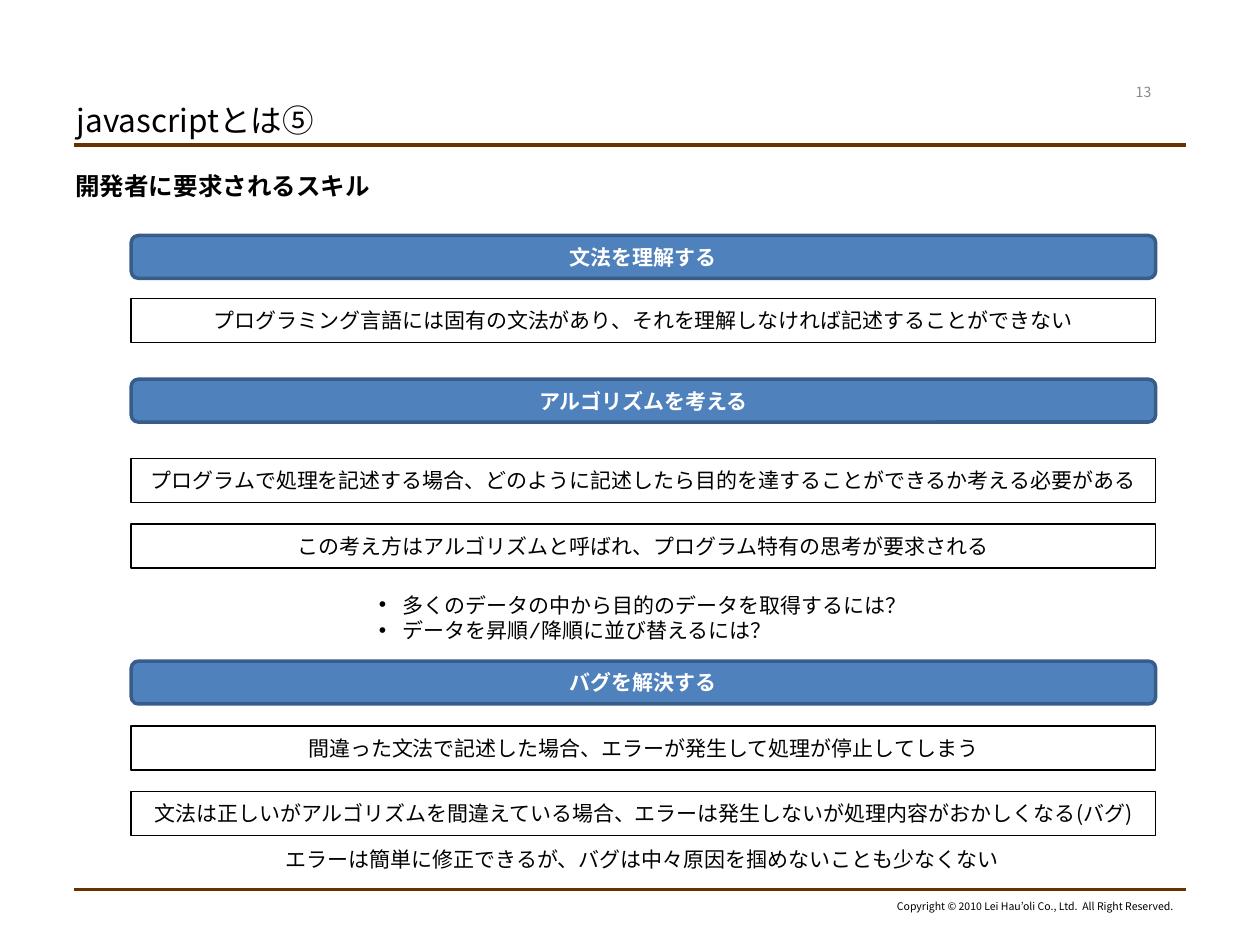
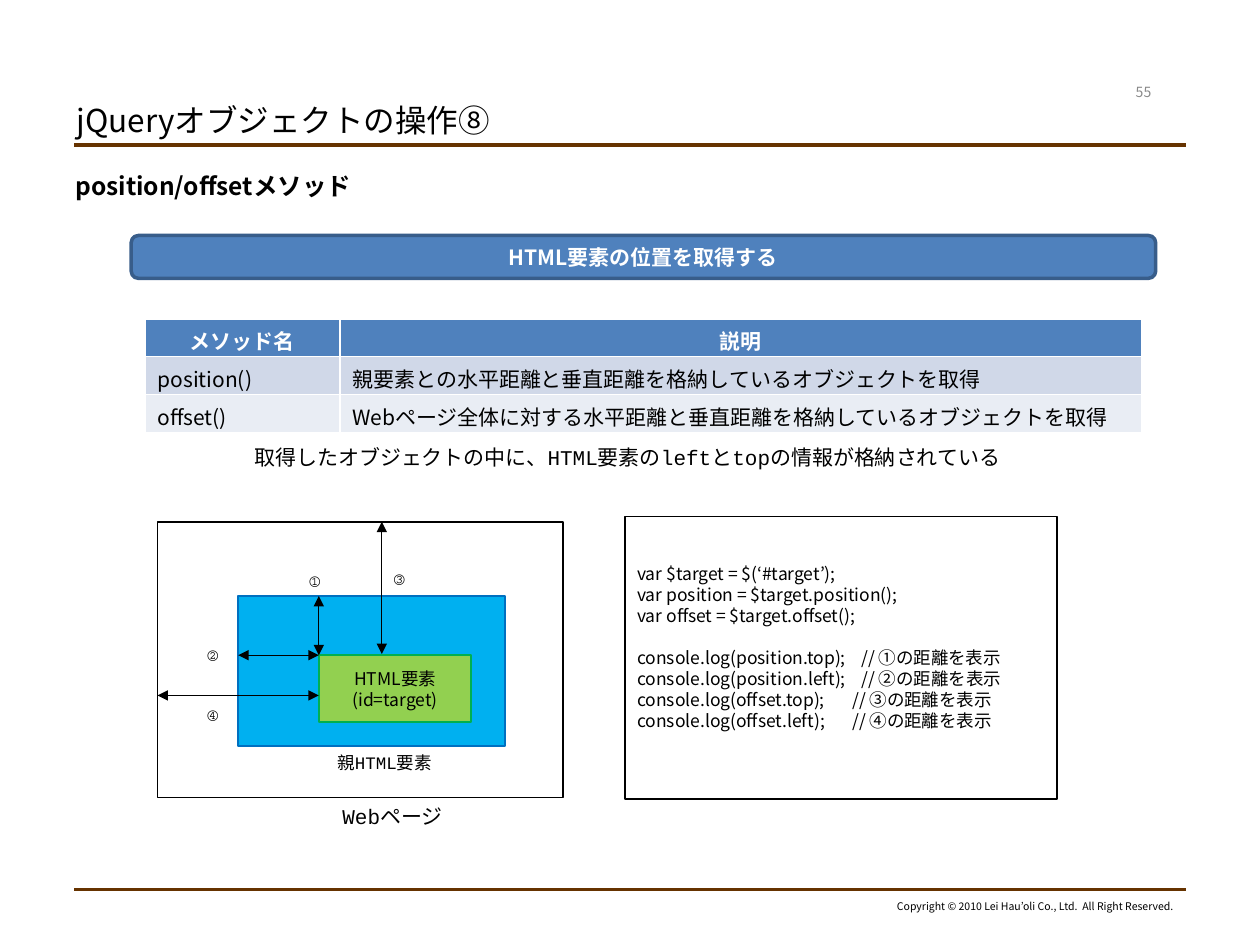
from lxml import etree
from pptx import Presentation
from pptx.dml.color import RGBColor
from pptx.enum import shapes, text
from pptx.oxml import ns
from pptx.util import Pt

# Shared look
SANS, MONO = "Noto Sans CJK JP", "Courier New"
BLACK, WHITE, GREY, BROWN = "000000", "FFFFFF", "898989", "663300"
BLUE, NAVY = "4F81BD", "385D8A"
LEFT, RIGHT = 42.5, 677.5
BAR_X, BAR_W, BAR_H, BOX_H, BOX_STEP = 75, 585.4, 24.5, 25.2, 37.4
BAR_TOP = 134.6
CREDIT = "Copyright © 2010 Lei Hau’oli Co., Ltd.  All Right Reserved."
ALIGN = {"l": text.PP_ALIGN.LEFT, "c": text.PP_ALIGN.CENTER,
         "r": text.PP_ALIGN.RIGHT}
RECT = shapes.MSO_SHAPE.RECTANGLE
ROUND = shapes.MSO_SHAPE.ROUNDED_RECTANGLE

# Slide 1: (bar top, heading, top of first box, boxed lines)
SKILLS = [
    (BAR_TOP, "文法を理解する", 170.6,
     ["プログラミング言語には固有の文法があり、それを理解しなければ記述することができない"]),
    (216.7, "アルゴリズムを考える", 262,
     ["プログラムで処理を記述する場合、どのように記述したら目的を達することができるか考える必要がある",
      "この考え方はアルゴリズムと呼ばれ、プログラム特有の思考が要求される"]),
    (377.8, "バグを解決する", 414.8,
     ["間違った文法で記述した場合、エラーが発生して処理が停止してしまう",
      "文法は正しいがアルゴリズムを間違えている場合、エラーは発生しないが処理内容がおかしくなる(バグ)"]),
]
ASKS = ["多くのデータの中から目的のデータを取得するには？",
        "データを昇順/降順に並び替えるには？"]
REMARK = "エラーは簡単に修正できるが、バグは中々原因を掴めないことも少なくない"

# Slide 2
METHODS = [
    ("メソッド名", "説明"),
    ("position()", "親要素との水平距離と垂直距離を格納しているオブジェクトを取得"),
    ("offset()", "Webページ全体に対する水平距離と垂直距離を格納しているオブジェクトを取得"),
]
COLS, ROW_H = (111.4, 458.4), 21.6
FILLS = (BLUE, "D0D8E8", "E9EDF4")
RESULT = "取得したオブジェクトの中に、HTML要素のleftとtopの情報が格納されている"
CODE = [
    ["var $target = $(‘#target’);",
     "var position = $target.position();",
     "var offset = $target.offset();"],
    ["console.log(position.top);    // ①の距離を表示",
     "console.log(position.left);    // ②の距離を表示",
     "console.log(offset.top);       // ③の距離を表示",
     "console.log(offset.left);       // ④の距離を表示"],
]
PAGE = (90, 298.1, 231.8, 157.7)
PARENT = (136.1, 340.6, 152.6, 85.7)
TARGET = (182.2, 374.4, 87.1, 38.2)
OFF_X, OFF_Y = 218.2, 397.4
GAPS = [  # number, label place, arrow from, arrow to
    ("①", (169.9, 321.1), (TARGET[0], PARENT[1]), TARGET[:2]),
    ("②", (111.6, 363.6), (PARENT[0], TARGET[1]), TARGET[:2]),
    ("③", (OFF_X, 319.7), (OFF_X, PAGE[1]), (OFF_X, TARGET[1] - 0.7)),
    ("④", (111.6, OFF_Y), (PAGE[0], OFF_Y), (TARGET[0], OFF_Y)),
]


def tint(code):
    return RGBColor.from_string(code)


def style(frame, size, color=BLACK, bold=False, font=SANS, align="l"):
    for para in frame.paragraphs:
        para.alignment = ALIGN[align]
        for run in para.runs:
            face = run.font
            face.size, face.bold, face.name = Pt(size), bold, font
            face.color.rgb = tint(color)
            props = run._r.get_or_add_rPr()
            etree.SubElement(props, ns.qn("a:ea"), typeface=SANS)


def write(slide, words, place, size, wrap=False, mid=False, **look):
    box = slide.shapes.add_textbox(*map(Pt, place))
    frame = box.text_frame
    frame.text = words
    frame.word_wrap = wrap
    if not wrap:
        frame.auto_size = text.MSO_AUTO_SIZE.SHAPE_TO_FIT_TEXT
    if mid:
        frame.vertical_anchor = text.MSO_ANCHOR.MIDDLE
    style(frame, size, **look)
    return frame


def block(slide, kind, place, words="", fill=None, edge=BLACK, width=1,
          size=12, align="c", **look):
    shape = slide.shapes.add_shape(kind, *map(Pt, place))
    shape.shadow.inherit = False
    if fill:
        shape.fill.solid()
        shape.fill.fore_color.rgb = tint(fill)
    else:
        shape.fill.background()
    shape.line.color.rgb = tint(edge)
    shape.line.width = Pt(width)
    frame = shape.text_frame
    frame.text = words
    frame.word_wrap = True
    frame.vertical_anchor = text.MSO_ANCHOR.MIDDLE
    style(frame, size, align=align, **look)
    return frame


def bar(slide, top, words):
    block(slide, ROUND, (BAR_X, top, BAR_W, BAR_H), words, BLUE, NAVY, 2,
          color=WHITE, bold=True)


def rule(slide, start, end, color, width, heads=False):
    line = slide.shapes.add_connector(
        shapes.MSO_CONNECTOR.STRAIGHT, *map(Pt, (*start, *end)))
    line.line.color.rgb = tint(color)
    line.line.width = Pt(width)
    if heads:
        for tag in ("a:headEnd", "a:tailEnd"):
            etree.SubElement(line.line._ln, ns.qn(tag), type="triangle")
    etree.SubElement(line._element.spPr, ns.qn("a:effectLst"))


def start(deck, title, topic, number):
    slide = deck.slides.add_slide(deck.slide_layouts[6])
    for y in (82.8, 508.3):
        rule(slide, (LEFT, y), (RIGHT, y), BROWN, 2.25)
    write(slide, CREDIT, (503.3, 510.5, 174.2, 14.4), 6, align="r")
    write(slide, title, (36.7, 54.7, 409, 28.1), 18, wrap=True, mid=True)
    write(slide, topic, (36, 94.3, 648, 402.5), 14, wrap=True, bold=True)
    write(slide, number, (632.2, 43.9, 42.5, 17.3), 8, wrap=True, mid=True,
          color=GREY, align="c")
    return slide


def skills(deck):
    slide = start(deck, "javascriptとは⑤", "開発者に要求されるスキル", "13")
    for top, head, first, lines in SKILLS:
        bar(slide, top, head)
        for i, line in enumerate(lines):
            block(slide, RECT, (BAR_X, first + i * BOX_STEP, BAR_W, BOX_H), line)

    # Bulleted questions
    frame = write(slide, "\n".join(ASKS), (209.5, 334.8, 316, 36), 12, font=MONO)
    for para in frame.paragraphs:
        props = para._p.get_or_add_pPr()
        props.set("marL", str(Pt(13.5)))
        props.set("indent", str(Pt(-13.5)))
        etree.SubElement(props, ns.qn("a:buFont"), typeface="Arial")
        etree.SubElement(props, ns.qn("a:buChar"), char="•")
    write(slide, REMARK, (156.2, 480.2, 422, 21.6), 12, font=MONO)


def methods(deck):
    slide = start(deck, "jQueryオブジェクトの操作⑧",
                  "position/offsetメソッド", "55")
    bar(slide, BAR_TOP, "HTML要素の位置を取得する")

    # Method table
    grid = slide.shapes.add_table(
        len(METHODS), len(COLS), Pt(82.8), Pt(182.2), Pt(sum(COLS)),
        Pt(ROW_H * len(METHODS))).table
    for col, width in zip(grid.columns, COLS):
        col.width = Pt(width)
    for r, row in enumerate(METHODS):
        for c, words in enumerate(row):
            cell = grid.cell(r, c)
            cell.fill.solid()
            cell.fill.fore_color.rgb = tint(FILLS[r])
            cell.text_frame.text = words
            head = r == 0
            style(cell.text_frame, 12, WHITE if head else BLACK, head,
                  align="c" if head else "l")
    write(slide, RESULT, (138.2, 250.6, 458.6, 21.6), 12, font=MONO)

    # Nested boxes with the measured gaps
    block(slide, RECT, PAGE)
    block(slide, RECT, PARENT, fill="00B0F0", edge="0070C0")
    block(slide, RECT, TARGET, "HTML要素\n(id=target)", "92D050", "00B050",
          size=10)
    write(slide, "親HTML要素", (185.8, 426.2, 72.7, 19.4), 10, font=MONO)
    write(slide, "Webページ", (188.6, 455.8, 74.9, 21.6), 12, font=MONO)
    for mark, spot, tail, tip in GAPS:
        rule(slide, tail, tip, BLACK, 0.75, heads=True)
        write(slide, mark, (*spot, 24.5, 19.4), 10, font=MONO)

    # Code: a gap between the parts, one line of room below
    frame = block(slide, RECT, (357.1, 295.2, 247, 161.3),
                  "\n".join(line for part in CODE for line in part),
                  size=10, align="l")
    frame.paragraphs[len(CODE[0])].space_before = Pt(12)
    frame.margin_bottom = Pt(15.6)


def main():
    deck = Presentation()
    deck.slide_width, deck.slide_height = Pt(720), Pt(540)
    skills(deck)
    methods(deck)
    deck.save("out.pptx")


if __name__ == "__main__":
    main()
